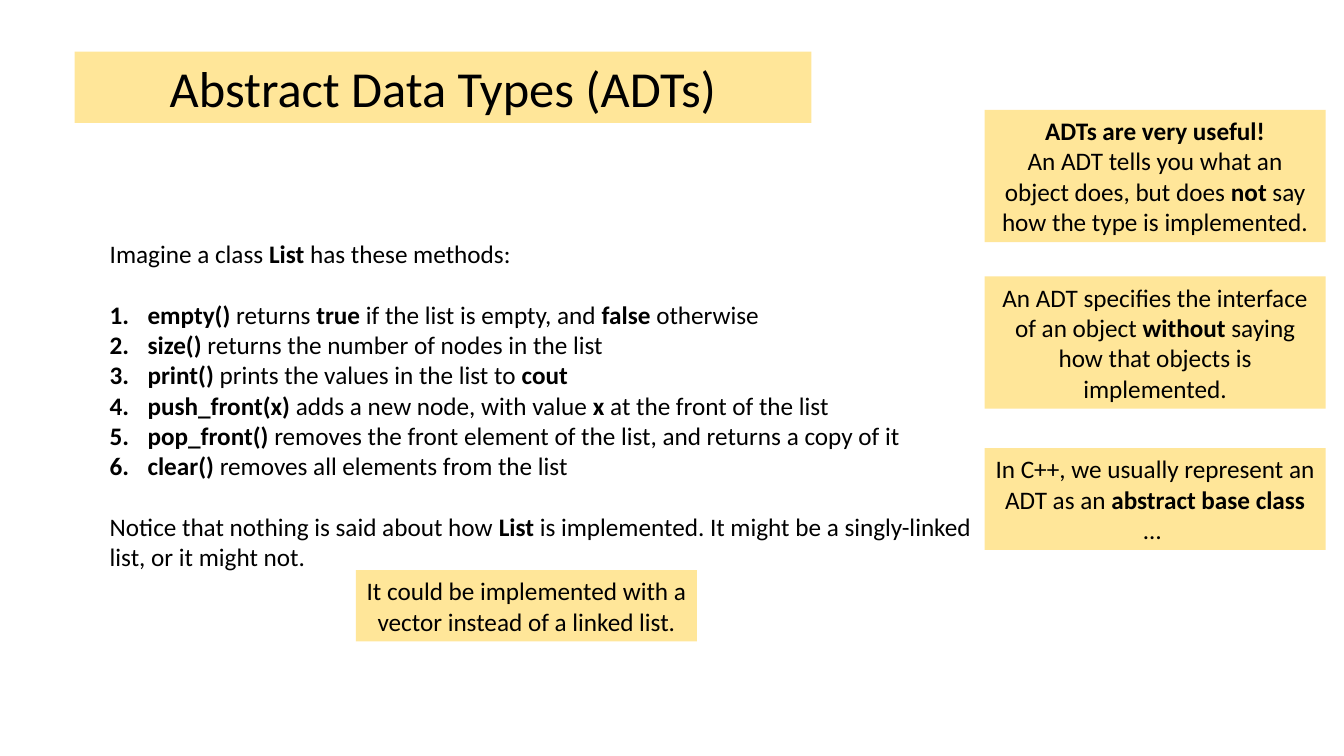
from lxml import etree
from pptx import Presentation
from pptx import util as u
from pptx.dml.color import RGBColor
from pptx.enum import shapes, text
from pptx.oxml.ns import qn

COLORS = {"box": "FFE699", "ink": "000000"}
LINE = 21.6  # height of one body line
INDENT = 27


class Deck:
    def __init__(self, prs, font="Calibri", size=18):
        self.font, self.size = font, size
        self.slide = prs.slides.add_slide(prs.slide_layouts[6])

    def add_line(self, p, line, size=None, **fmt):
        """Fill a paragraph; stretches between ** marks are bold."""
        for name, value in fmt.items():
            setattr(p, name, value)
        for i, part in enumerate(line.split("**")):
            if part:
                r = p.add_run()
                r.text = part
                style = {"name": self.font, "size": u.Pt(size or self.size), "bold": i % 2 == 1}
                for name, value in style.items():
                    setattr(r.font, name, value)
                r.font.color.rgb = RGBColor.from_string(COLORS["ink"])

    def number(self, p):
        pPr = p._p.get_or_add_pPr()
        pPr.set("marL", str(u.Pt(INDENT)))
        pPr.set("indent", str(-u.Pt(INDENT)))
        etree.SubElement(pPr, qn("a:buFont"), typeface="+mj-lt")
        etree.SubElement(pPr, qn("a:buAutoNum"), type="arabicPeriod")

    def box(self, x, y, w, h, lines, size=None):
        sp = self.slide.shapes.add_shape(
            shapes.MSO_SHAPE.RECTANGLE, u.Pt(x), u.Pt(y), u.Pt(w), u.Pt(h))
        sp.shadow.inherit = False
        sp.fill.solid()
        sp.fill.fore_color.rgb = RGBColor.from_string(COLORS["box"])
        sp.line.fill.background()
        tf = sp.text_frame
        tf.word_wrap = True
        tf.auto_size = text.MSO_AUTO_SIZE.SHAPE_TO_FIT_TEXT
        for i, line in enumerate(lines):
            p = tf.add_paragraph() if i else tf.paragraphs[0]
            self.add_line(p, line, size, alignment=text.PP_ALIGN.CENTER)

    def body(self, x, y, w, h, intro, items, closing):
        sp = self.slide.shapes.add_textbox(u.Pt(x), u.Pt(y), u.Pt(w), u.Pt(h))
        tf = sp.text_frame
        tf.word_wrap = False
        tf.auto_size = text.MSO_AUTO_SIZE.SHAPE_TO_FIT_TEXT
        self.add_line(tf.paragraphs[0], intro, space_after=u.Pt(LINE))
        for item in items:
            p = tf.add_paragraph()
            self.add_line(p, item)
            self.number(p)
        for i, line in enumerate(closing):
            self.add_line(tf.add_paragraph(), line, space_before=u.Pt(0 if i else LINE))


prs = Presentation()
prs.slide_width, prs.slide_height = u.Pt(960), u.Pt(540)
deck = Deck(prs)

# Title
deck.box(53.3, 36.9, 526.3, 50.9, ["Abstract Data Types (ADTs)"], size=36)

# Methods of the list class
deck.body(
    71.3, 167, 638, 247,
    "Imagine a class **List** has these methods:",
    [
        "**empty()** returns **true** if the list is empty, and **false** otherwise",
        "**size()** returns the number of nodes in the list",
        "**print() **prints the values in the list to **cout**",
        "**push_front(x)** adds a new node, with value **x** at the front of the list",
        "**pop_front() **removes the front element of the list, and returns a copy of it",
        "**clear() **removes all elements from the list",
    ],
    [
        "Notice that nothing is said about how **List** is implemented. It might be a singly-linked",
        "list, or it might not.",
    ],
)

# Side notes: left, top, height, lines
NOTE_W = 243.6
NOTE_X = 703.3
notes = [
    (254.3, 407.3, 50.9, ["It could be implemented with a vector instead of a linked list."]),
    (NOTE_X, 78.5, 94.5, [
        "**ADTs are very useful!**",
        "An ADT tells you what an object does, but does **not** say how the type is implemented.",
    ]),
    (NOTE_X, 197.5, 94.5, [
        "An ADT specifies the interface of an object **without** saying how that objects is implemented.",
    ]),
    (NOTE_X, 320, 72.7, [
        "In C++, we usually represent an ADT as an **abstract base class **… ",
    ]),
]
for x, y, h, lines in notes:
    deck.box(x, y, NOTE_W, h, lines)

prs.save("out.pptx")
